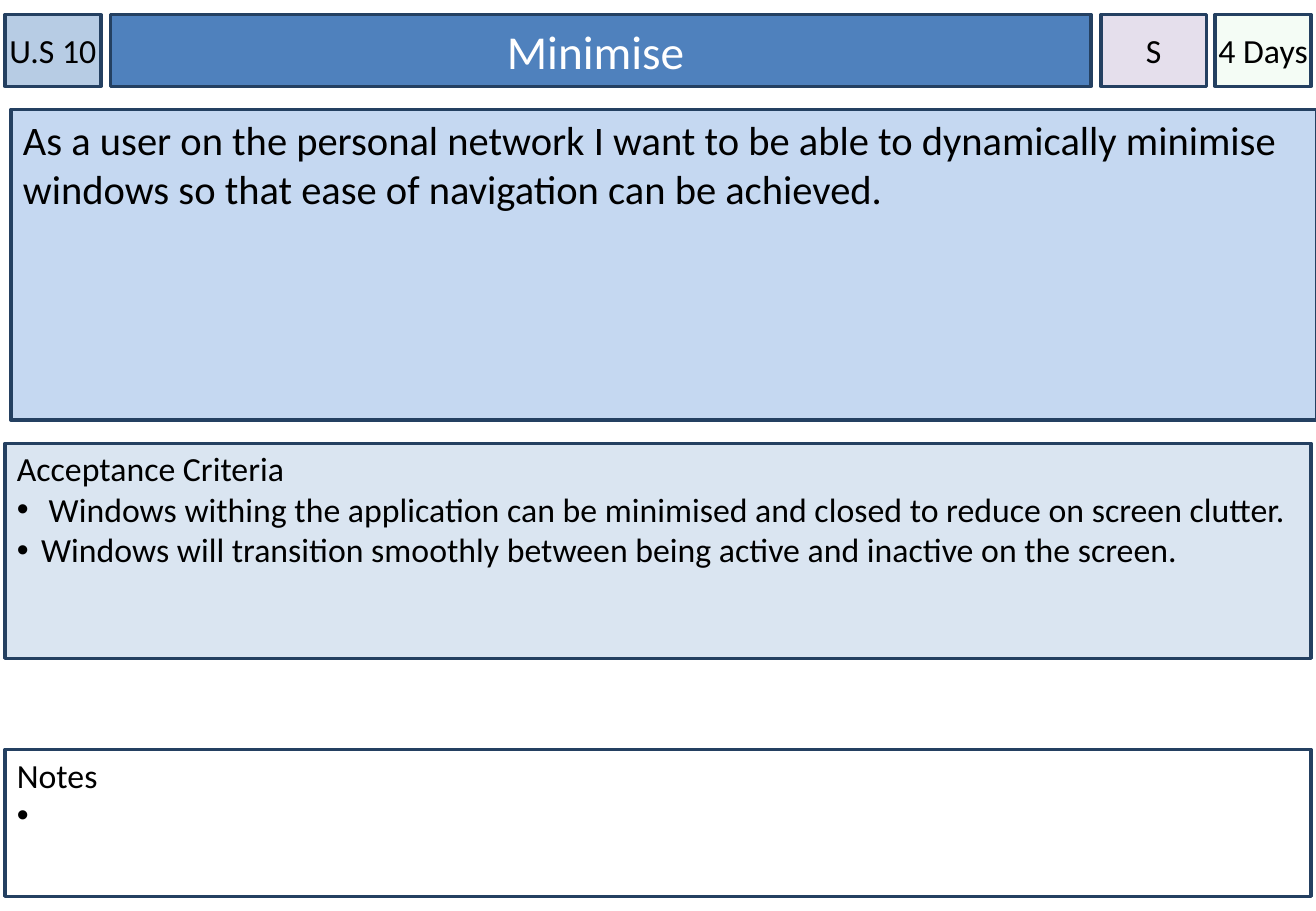
from lxml import etree
from pptx import Presentation
from pptx.dml.color import RGBColor
from pptx.enum.shapes import MSO_SHAPE
from pptx.enum.text import MSO_ANCHOR, PP_ALIGN
from pptx.oxml.ns import qn
from pptx.util import Inches, Pt

RECTANGLE = MSO_SHAPE.RECTANGLE
TOP, MIDDLE = MSO_ANCHOR.TOP, MSO_ANCHOR.MIDDLE
LEFT, CENTER = PP_ALIGN.LEFT, PP_ALIGN.CENTER

COLORS = {
    "border": "244061",
    "story_id": "B7CCE4",
    "title": "4F81BD",
    "priority": "E5DFEC",
    "estimate": "CCF0CD",
    "story": "C5D8F1",
    "criteria": "DAE5F1",
    "notes": "FFFFFF",
    "text": "000000",
    "title_text": "FFFFFF",
}
FONT = "Calibri"
BULLET_INDENT = Inches(0.2)


def rgb(name):
    return RGBColor.from_string(COLORS[name])


def add_panel(slide, box, fill, anchor=TOP, side_inset=0.1, top_inset=0.05):
    """Add a bordered rectangle and return it."""
    shape = slide.shapes.add_shape(RECTANGLE, *(Inches(length) for length in box))
    shape.shadow.inherit = False
    shape.fill.solid()
    shape.fill.fore_color.rgb = rgb(fill)
    shape.line.color.rgb = rgb("border")
    shape.line.width = Pt(2)
    frame = shape.text_frame
    frame.word_wrap = True
    frame.vertical_anchor = anchor
    frame.margin_left = frame.margin_right = Inches(side_inset)
    frame.margin_top, frame.margin_bottom = Inches(top_inset), Inches(0.05)
    return shape


def write(paragraph, text, size=20, color="text", align=LEFT):
    paragraph.alignment = align
    run = paragraph.add_run()
    run.text = text
    run.font.name = FONT
    run.font.size = Pt(size)
    run.font.color.rgb = rgb(color)


def add_bullet(paragraph):
    properties = paragraph._p.get_or_add_pPr()
    properties.set("marL", str(BULLET_INDENT))
    properties.set("indent", str(-BULLET_INDENT))
    bullet_color = etree.SubElement(properties, qn("a:buClr"))
    etree.SubElement(bullet_color, qn("a:srgbClr"), val=COLORS["text"])
    etree.SubElement(properties, qn("a:buFont"), typeface="Arial")
    etree.SubElement(properties, qn("a:buChar"), char="•")


def set_opacity(shape, percent):
    color = shape.fill._xPr.find(qn("a:solidFill"))[0]
    etree.SubElement(color, qn("a:alpha"), val=str(percent * 1000))


def add_header(slide, box, story_id, title, priority, estimate):
    """Row of story number, title, priority and estimate."""
    left, top, width, height = box
    badge_width = 0.79

    def add_cell(offset, cell_width, fill, text, side_inset=0, size=20, color="text"):
        cell_box = (left + offset, top, cell_width, height)
        cell = add_panel(slide, cell_box, fill, MIDDLE, side_inset)
        write(cell.text_frame.paragraphs[0], text, size, color, CENTER)
        return cell

    add_cell(0, badge_width, "story_id", story_id)
    add_cell(0.87, 8.07, "title", title, 0.1, 28, "title_text")
    estimate_cell = add_cell(width - badge_width, badge_width, "estimate", estimate)
    set_opacity(estimate_cell, 20)
    add_cell(9.02, 0.87, "priority", priority)


def add_story(slide, box, text):
    panel = add_panel(slide, box, "story")
    write(panel.text_frame.paragraphs[0], text, 24)


def add_list_panel(slide, box, fill, heading, items):
    """Panel with a heading and bulleted items."""
    frame = add_panel(slide, box, fill, top_inset=0.04).text_frame
    write(frame.paragraphs[0], heading)
    for item in items:
        paragraph = frame.add_paragraph()
        write(paragraph, item)
        add_bullet(paragraph)


def main():
    presentation = Presentation()
    presentation.slide_width = Inches(10.83)
    presentation.slide_height = Inches(7.5)
    slide = presentation.slides.add_slide(presentation.slide_layouts[6])
    left, width = 0.04, 10.75

    # Header row
    add_header(slide, (left, 0.12, width, 0.59), "U.S 10", "Minimise ", "S", "4 Days")

    # User story
    add_story(
        slide,
        (0.09, 0.9, width, 2.56),
        "As a user on the personal network I want to be able to dynamically "
        "minimise windows so that ease of navigation can be achieved.",
    )

    # Acceptance criteria
    criteria = [
        " Windows withing the application can be minimised and closed to "
        "reduce on screen clutter.",
        "Windows will transition smoothly between being active and inactive "
        "on the screen.",
    ]
    add_list_panel(
        slide, (left, 3.65, width, 1.77), "criteria", "Acceptance Criteria", criteria
    )

    # Notes, with one open bullet
    add_list_panel(slide, (left, 6.17, width, 1.21), "notes", "Notes", [" "])

    presentation.save("out.pptx")


if __name__ == "__main__":
    main()
